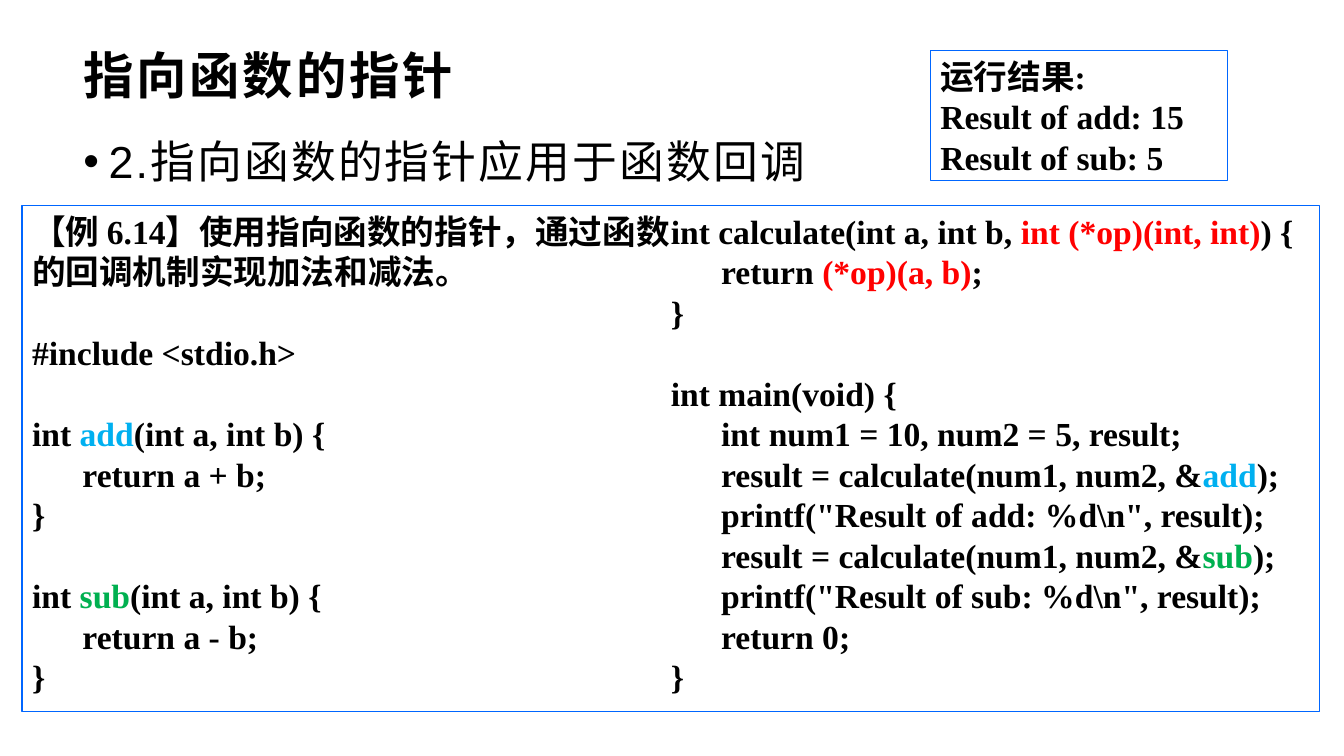
from dataclasses import dataclass
from typing import NamedTuple

from lxml.etree import SubElement
from pptx import Presentation
from pptx.dml.color import RGBColor as Color
from pptx.enum.shapes import MSO_AUTO_SHAPE_TYPE as ShapeKind
from pptx.enum.text import MSO_ANCHOR as Anchor, PP_ALIGN as Align
from pptx.oxml.ns import qn
from pptx.util import Pt


@dataclass(frozen=True)
class Theme:
    ink: str = "000000"
    border: str = "0066FF"
    add: str = "00B0F0"
    sub: str = "00B050"
    pointer: str = "FF0000"
    heading_font: str = "Arial"
    code_font: str = "Times New Roman"
    title_size: float = 36
    topic_size: float = 32
    code_size: float = 24
    code_pitch: float = 28.9
    code_indent: float = 36


THEME = Theme()


class Span(NamedTuple):
    text: str
    color: str = THEME.ink


class Line(NamedTuple):
    spans: tuple[Span, ...]
    indented: bool = False
    gap_before: bool = False


class Area(NamedTuple):
    left: float
    top: float
    width: float
    height: float


@dataclass(frozen=True)
class Heading:
    text: str
    area: Area
    size: float
    bold: bool
    tracking: float
    anchor: Anchor
    bulleted: bool = False


@dataclass(frozen=True)
class Panel:
    area: Area
    lines: tuple[Line, ...]
    columns: int = 1


def line(*spans: str | Span, indented: bool = False, gap_before: bool = False) -> Line:
    parts = tuple(s if isinstance(s, Span) else Span(s) for s in spans)
    return Line(parts, indented, gap_before)


def step(*spans: str | Span) -> Line:
    return line(*spans, indented=True)


def operation(name: str, color: str, sign: str) -> tuple[Line, ...]:
    return (
        line("int ", Span(name, color), "(int a, int b) {", gap_before=True),
        step(f"return a {sign} b;"),
        line("}"),
    )


def callback(name: str, color: str) -> tuple[Line, ...]:
    return (
        step("result = calculate(num1, num2, &", Span(name, color), ");"),
        step(f'printf("Result of {name}: %d\\n", result);'),
    )


HEADINGS = (
    Heading("指向函数的指针", Area(52.56, 31.68, 854.64, 43.2),
            THEME.title_size, True, 2, Anchor.MIDDLE),
    Heading("2.指向函数的指针应用于函数回调", Area(52.56, 80.64, 876.96, 444.96),
            THEME.topic_size, False, 1.5, Anchor.TOP, bulleted=True),
)

PANELS = (
    # Example code: the second column starts at calculate()
    Panel(Area(15.84, 146.88, 926.64, 361.44), (
        line("【例 6.14】使用指向函数的指针，通过函数的回调机制实现加法和减法。"),
        line("#include <stdio.h>", gap_before=True),
        *operation("add", THEME.add, "+"),
        *operation("sub", THEME.sub, "-"),
        line("int calculate(int a, int b, ",
             Span("int (*op)(int, int)", THEME.pointer), ") {"),
        step("return ", Span("(*op)(a, b)", THEME.pointer), ";"),
        line("}"),
        line("int main(void) {", gap_before=True),
        step("int num1 = 10, num2 = 5, result;"),
        *callback("add", THEME.add),
        *callback("sub", THEME.sub),
        step("return 0;"),
        line("}"),
    ), columns=2),
    # Program output
    Panel(Area(664.56, 36, 212.4, 92.88), (
        line("运行结果:"),
        line("Result of add: 15"),
        line("Result of sub: 5"),
    )),
)


def apply_format(target: object, values: dict[str, object]) -> None:
    for name, value in values.items():
        setattr(target, name, value)


def add_span(para, span: Span, font: str, size: float, bold: bool):
    run = para.add_run()
    run.text = span.text
    apply_format(run.font, {"name": font, "size": Pt(size), "bold": bold})
    run.font.color.rgb = Color.from_string(span.color)
    return run


def set_indent(para, left: float, first: float = 0) -> None:
    properties = para._p.get_or_add_pPr()
    properties.set("marL", str(Pt(left)))
    properties.set("indent", str(Pt(first)))


def draw_heading(page, heading: Heading) -> None:
    box = page.shapes.add_textbox(*map(Pt, heading.area))
    apply_format(box.text_frame, {"word_wrap": True, "vertical_anchor": heading.anchor})
    para = box.text_frame.paragraphs[0]
    run = add_span(para, Span(heading.text), THEME.heading_font,
                   heading.size, heading.bold)
    run.font._element.set("spc", str(int(heading.tracking * 100)))
    if heading.bulleted:
        apply_format(para, {"line_spacing": 1.3, "space_after": Pt(10)})
        set_indent(para, 18, -18)
        properties = para._p.get_or_add_pPr()
        SubElement(properties, qn("a:buFont")).set("typeface", THEME.heading_font)
        SubElement(properties, qn("a:buChar")).set("char", "•")


def draw_panel(page, panel: Panel) -> None:
    box = page.shapes.add_shape(ShapeKind.RECTANGLE, *map(Pt, panel.area))
    box.shadow.inherit = False
    box.fill.background()
    box.line.color.rgb = Color.from_string(THEME.border)
    box.line.width = Pt(1)
    frame = box.text_frame
    apply_format(frame, {"word_wrap": True, "vertical_anchor": Anchor.TOP})
    if panel.columns > 1:
        frame._txBody.bodyPr.set("numCol", str(panel.columns))
    for index, entry in enumerate(panel.lines):
        para = frame.add_paragraph() if index else frame.paragraphs[0]
        apply_format(para, {
            "alignment": Align.LEFT,
            "line_spacing": Pt(THEME.code_pitch),
            "space_before": Pt(THEME.code_pitch if entry.gap_before else 0),
        })
        if entry.indented:
            set_indent(para, THEME.code_indent)
        for span in entry.spans:
            add_span(para, span, THEME.code_font, THEME.code_size, True)


def main() -> None:
    deck = Presentation()
    apply_format(deck, {"slide_width": Pt(960), "slide_height": Pt(540)})
    page = deck.slides.add_slide(deck.slide_layouts[6])
    # Title and topic
    for heading in HEADINGS:
        draw_heading(page, heading)
    # Framed code and result
    for panel in PANELS:
        draw_panel(page, panel)
    deck.save("out.pptx")


if __name__ == "__main__":
    main()
